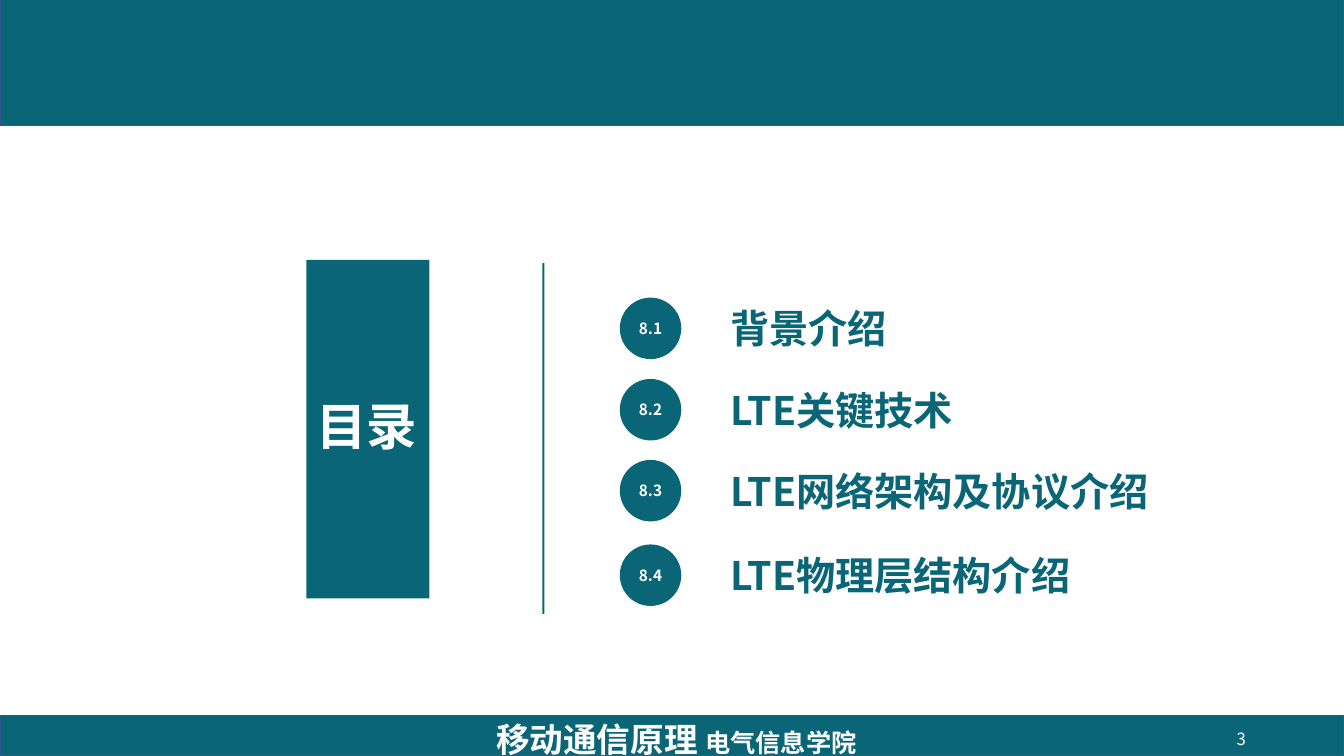
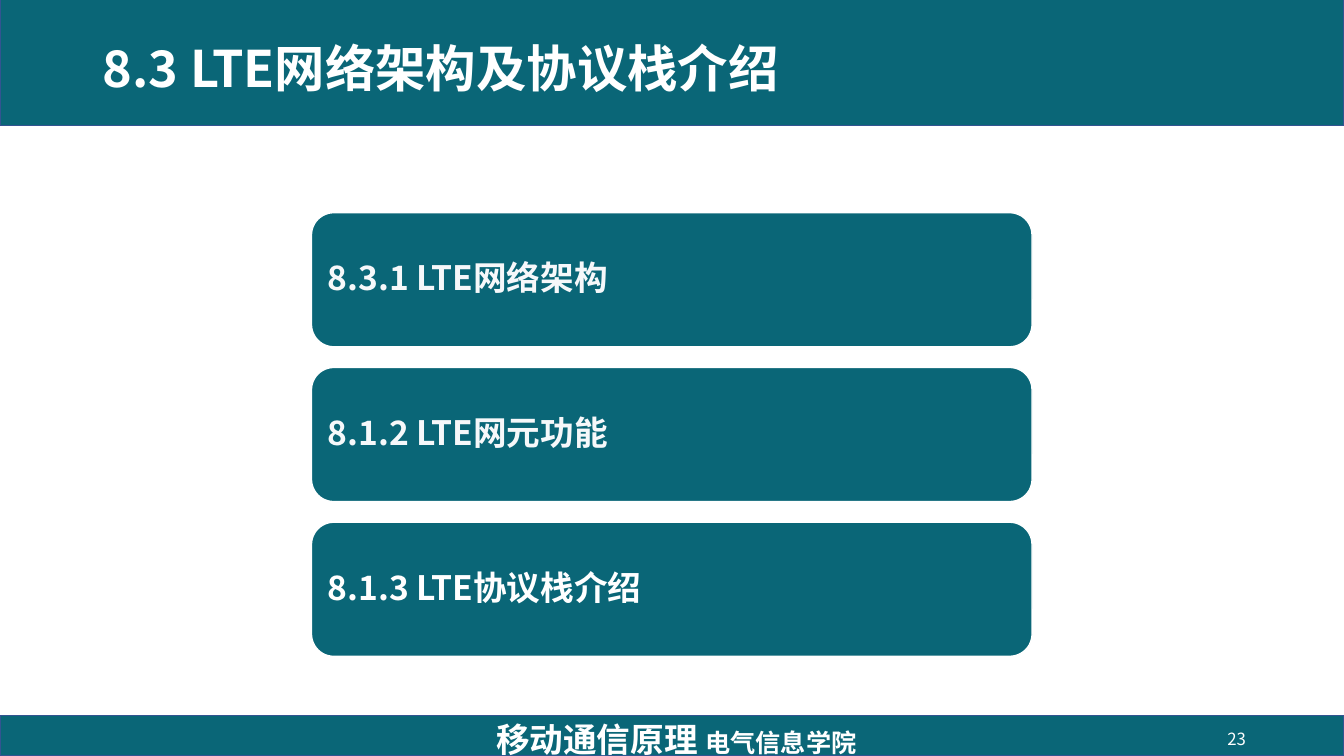
from pptx import Presentation
from pptx import util as u
from pptx.dml.color import RGBColor
from pptx.enum import shapes, text
from pptx.oxml.ns import qn
from lxml import etree

FONT = "Noto Sans CJK SC"
HUES = {"teal": "0A6677", "edge": "325491", "white": "FFFFFF", "pale": "F6F8FA"}
WIDE, HIGH = 33.87, 19.05
BANDS = [(0, -0.03, WIDE, 3.2), (0, 18.03, WIDE, 1.02)]
FOOTER = ("移动通信原理 ", "电气信息学院")

# number, topic, top of the badge
TOPICS = [
    ("8.1", "背景介绍", 7.5),
    ("8.2", "LTE关键技术", 9.55),
    ("8.3", "LTE网络架构及协议介绍", 11.59),
    ("8.4", "LTE物理层结构介绍", 13.72),
]
TITLE = "8.3 LTE网络架构及协议栈介绍"
CARDS = [
    ("8.3.1 LTE网络架构", "pale"),
    ("8.1.2 LTE网元功能", "pale"),
    ("8.1.3 LTE协议栈介绍", "white"),
]

KIND = shapes.MSO_SHAPE
ALIGN = text.PP_ALIGN
MIDDLE = text.MSO_ANCHOR.MIDDLE


def color(name):
    """Look up a named colour."""
    return RGBColor.from_string(HUES[name])


def write(shape, words, size, hue="white", bold=True, align=ALIGN.LEFT,
          anchor=MIDDLE, wrap=True, lead=1.0):
    """Set one styled paragraph in a shape; words are its runs."""
    frame = shape.text_frame
    frame.word_wrap = wrap
    frame.vertical_anchor = anchor
    par = frame.paragraphs[0]
    par.alignment = align
    par.line_spacing = lead
    font = par.font
    font.size, font.bold, font.name = u.Pt(size), bold, FONT
    font.color.rgb = color(hue)
    east = etree.SubElement(par._p.pPr.find(qn("a:defRPr")), qn("a:ea"))
    east.set("typeface", FONT)
    for word in words:
        par.add_run().text = word
    return par


def block(slide, kind, box, edge=None):
    """Draw a teal shape, outlined if an edge colour is given."""
    shape = slide.shapes.add_shape(kind, *map(u.Cm, box))
    shape.shadow.inherit = False
    shape.fill.solid()
    shape.fill.fore_color.rgb = color("teal")
    if edge:
        shape.line.color.rgb = color(edge)
        shape.line.width = u.Pt(1)
    else:
        shape.line.fill.background()
    return shape


def label(slide, box, words, size, **style):
    """Add a text box with one paragraph."""
    return write(slide.shapes.add_textbox(*map(u.Cm, box)), words, size, **style)


def start(deck, page):
    """Add a slide with the shared bands, footer and page number."""
    slide = deck.slides.add_slide(deck.slide_layouts[6])
    for band in BANDS:
        block(slide, KIND.RECTANGLE, band, "edge")
    foot = label(slide, (11.33, 18.11, 11.43, 1.02), FOOTER, 24, align=ALIGN.CENTER)
    foot.runs[1].font.size = u.Pt(18)
    label(slide, (24.03, 18.11, 7.62, 1.02), [str(page)], 12,
          bold=False, align=ALIGN.RIGHT)
    return slide


def agenda(deck):
    """Build the table of contents."""
    slide = start(deck, 3)
    panel = block(slide, KIND.RECTANGLE, (7.72, 6.55, 3.1, 8.53))
    write(panel, ["目录"], 36, lead=0.9)
    block(slide, KIND.RECTANGLE, (13.67, 6.63, 0.05, 8.84))
    for number, topic, top in TOPICS:
        badge = block(slide, KIND.OVAL, (15.62, top, 1.55, 1.55))
        write(badge, [number], 11, align=ALIGN.CENTER, wrap=False)
        label(slide, (18.16, top + 0.05, 12.7, 1.45), [topic], 28,
              hue="teal", anchor=text.MSO_ANCHOR.TOP)


def section(deck):
    """Build the section overview with evenly stacked cards."""
    slide = start(deck, 23)
    label(slide, (2.34, 0, 18.82, 3.61), [TITLE], 36, lead=0.9)
    left, top, width, height, step = 7.85, 5.36, 18.16, 3.38, 3.9
    for row, (words, hue) in enumerate(CARDS):
        card = block(slide, KIND.ROUNDED_RECTANGLE,
                     (left, top + row * step, width, height), "white")
        write(card, [words], 24, hue=hue, lead=0.9)


deck = Presentation()
deck.slide_width, deck.slide_height = u.Cm(WIDE), u.Cm(HIGH)
agenda(deck)
section(deck)
deck.save("out.pptx")
